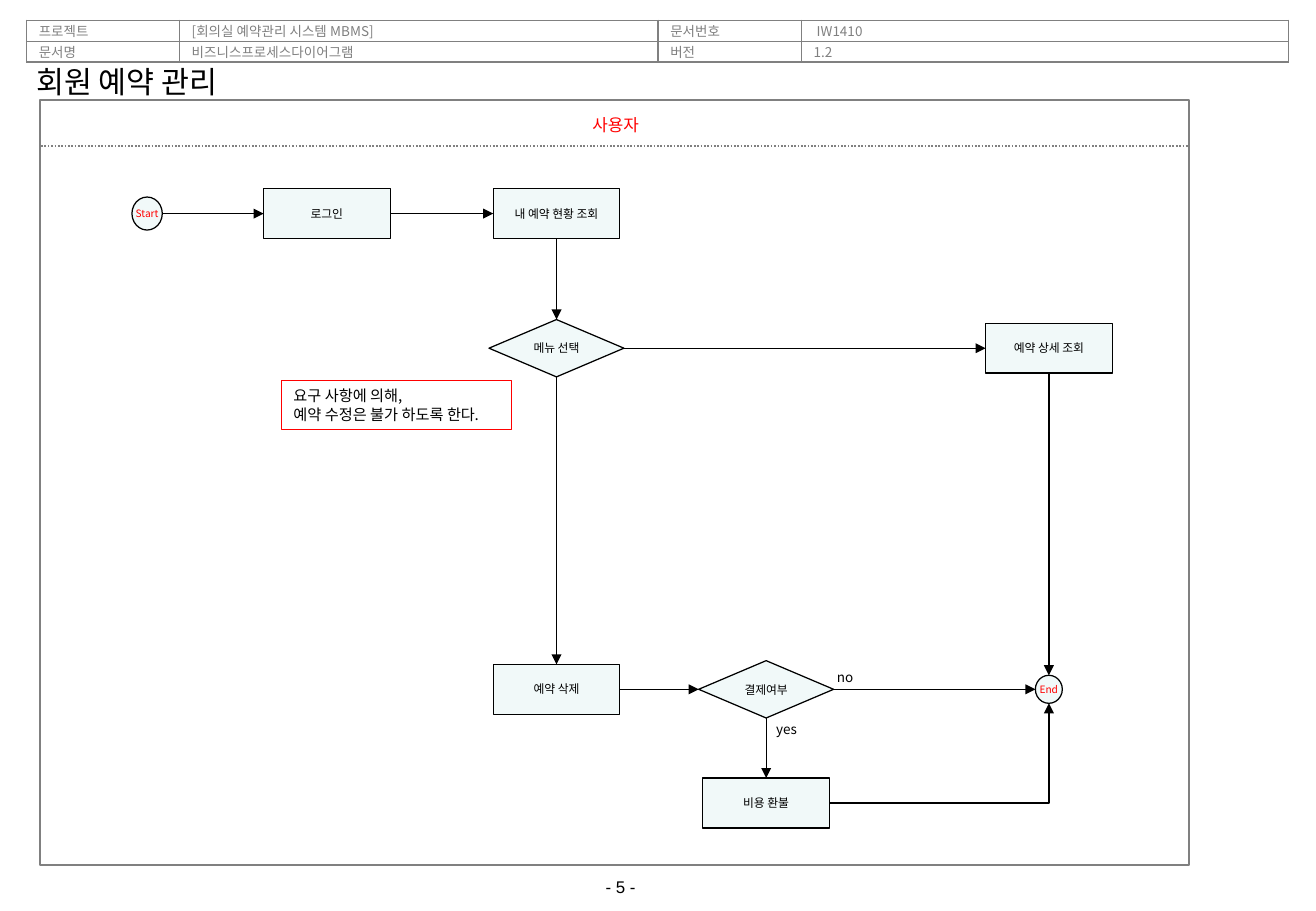
from lxml import etree
from pptx import Presentation
from pptx import util as u
from pptx.dml import color
from pptx.enum import dml, shapes, text
from pptx.oxml import ns

COLORS = {"ink": "000000", "gray": "808080", "red": "FF0000",
          "node": "F1F9F9", "paper": "FFFFFF"}
KOREAN = "Noto Sans CJK KR"
TOP, LEFT, BOTTOM, RIGHT = range(4)


def rgb(name):
    return color.RGBColor.from_string(COLORS[name])


def write(frame, lines, size, ink="ink", font=KOREAN, align="LEFT",
          anchor="TOP", insets=(7.2, 3.6), wrap=True):
    frame.auto_size = text.MSO_AUTO_SIZE.NONE
    frame.word_wrap = wrap
    frame.vertical_anchor = getattr(text.MSO_ANCHOR, anchor)
    frame.margin_left = frame.margin_right = u.Pt(insets[0])
    frame.margin_top = frame.margin_bottom = u.Pt(insets[1])
    for i, line in enumerate(lines):
        paragraph = frame.paragraphs[0] if i == 0 else frame.add_paragraph()
        paragraph.alignment = getattr(text.PP_ALIGN, align)
        style_run(paragraph.add_run(), line, size, ink, font)


def style_run(run, words, size, ink, font=KOREAN):
    run.text = words
    run.font.size = u.Pt(size)
    run.font.name = font
    run.font.color.rgb = rgb(ink)
    properties = run.font._element
    properties.set("kern", "0")
    etree.SubElement(properties, ns.qn("a:ea")).set("typeface", font)


def add_label(slide, box, words, size, **style):
    label = slide.shapes.add_textbox(*map(u.Pt, box))
    write(label.text_frame, [words], size, **style)


def add_outline(slide, preset, box, fill, line, weight=0.75):
    outline = slide.shapes.add_shape(preset, *map(u.Pt, box))
    outline.shadow.inherit = False
    if fill:
        outline.fill.solid()
        outline.fill.fore_color.rgb = rgb(fill)
    else:
        outline.fill.background()
    outline.line.color.rgb = rgb(line)
    outline.line.width = u.Pt(weight)
    return outline


def add_line(slide, kind, ends, ink, weight):
    line = slide.shapes.add_connector(kind, *map(u.Pt, ends))
    line.line.color.rgb = rgb(ink)
    line.line.width = u.Pt(weight)
    etree.SubElement(line._element.spPr, ns.qn("a:effectLst"))
    return line


def add_arrow(slide, source, source_side, target, target_side):
    straight = TOP in (source_side, target_side) or LEFT in (source_side, target_side)
    kind = shapes.MSO_CONNECTOR.STRAIGHT if straight else shapes.MSO_CONNECTOR.ELBOW
    arrow = add_line(slide, kind, (0, 0, 0, 0), "ink", 0.75)
    arrow.begin_connect(source, source_side)
    arrow.end_connect(target, target_side)
    properties = arrow._element.spPr
    if not straight:
        properties.find(ns.qn("a:prstGeom")).set("prst", "bentConnector2")
    # An ellipse has eight connection sites, so its sides are every second one
    for node, side, tag in ((source, source_side, "a:stCxn"), (target, target_side, "a:endCxn")):
        if node.auto_shape_type == shapes.MSO_SHAPE.OVAL:
            next(arrow._element.iter(ns.qn(tag))).set("idx", str(2 * side))
    head = etree.SubElement(properties.find(ns.qn("a:ln")), ns.qn("a:tailEnd"))
    head.set("type", "triangle")


def add_document_header(slide, box):
    rows = [["프로젝트", "[회의실 예약관리 시스템 MBMS]", "문서번호", "IW1410"],
            ["문서명", "비즈니스프로세스다이어그램", "버전", "1.2"]]
    header = slide.shapes.add_table(2, 4, *map(u.Pt, box)).table
    header.first_row = header.horz_banding = False
    for column, width in zip(header.columns, (90.7, 283.7, 85, 288.8)):
        column.width = u.Pt(width)
    for r, row in enumerate(rows):
        header.rows[r].height = u.Pt(box[3] / 2)
        for c, words in enumerate(row):
            cell = header.cell(r, c)
            cell.margin_left = u.Pt(9 if words == "IW1410" else 7.2)
            cell.margin_right = u.Pt(7.2)
            cell.margin_top = cell.margin_bottom = 0
            cell.vertical_anchor = text.MSO_ANCHOR.MIDDLE
            style_run(cell.text_frame.paragraphs[0].add_run(), words, 8, "gray")
            add_borders(cell)
            cell.fill.solid()
            cell.fill.fore_color.rgb = rgb("paper")


def add_borders(cell):
    for side in "LRTB":
        border = etree.SubElement(cell._tc.get_or_add_tcPr(), ns.qn(f"a:ln{side}"))
        border.set("w", str(u.Pt(1)))
        fill = etree.SubElement(border, ns.qn("a:solidFill"))
        etree.SubElement(fill, ns.qn("a:srgbClr")).set("val", COLORS["gray"])


def add_title(slide, box):
    title = slide.shapes.title
    title.left, title.top, title.width, title.height = map(u.Pt, box)
    write(title.text_frame, ["회원 예약 관리"], 18)


def add_user_lane(slide, box):
    left, top, width, _ = box
    add_outline(slide, shapes.MSO_SHAPE.RECTANGLE, box, None, "gray", 1)
    divider_y = top + 27.4
    divider = add_line(slide, shapes.MSO_CONNECTOR.STRAIGHT,
                       (left + 0.6, divider_y, left + width + 0.6, divider_y), "gray", 1)
    divider.line.dash_style = dml.MSO_LINE.ROUND_DOT
    add_label(slide, (left + 265.6, top + 3.8, 151.2, 21.6), "사용자", 10,
              ink="red", align="CENTER", insets=(9.4, 5))


def add_flow(slide, box):
    left, top = box[:2]
    # Column and row centres of the flow grid
    start_x, login_x, status_x, payment_x, end_x = (
        left + x for x in (63.4, 170, 306.1, 430.4, 598))
    login_y, menu_y, payment_y, refund_y = (top + y for y in (67.4, 147.2, 349.4, 416.8))
    styles = {
        "process": (shapes.MSO_SHAPE.FLOWCHART_PROCESS, 75, 29.6, 7, "ink", (7.2, 3.6)),
        "decision": (shapes.MSO_SHAPE.FLOWCHART_DECISION, 80, 34, 7, "ink", (7.2, 3.6)),
        "start": (shapes.MSO_SHAPE.OVAL, 18, 19.6, 6, "red", (5, 2.9)),
        "end": (shapes.MSO_SHAPE.OVAL, 16, 16.6, 6, "red", (5, 2.9)),
    }

    def node(style, x, y, words):
        preset, width, height, size, ink, insets = styles[style]
        shape = add_outline(slide, preset, (x - width / 2, y - height / 2, width, height),
                            "node", "ink")
        write(shape.text_frame, [words], size, ink, align="CENTER",
              anchor="MIDDLE", insets=insets, wrap=False)
        return shape

    # Steps
    start = node("start", start_x, login_y, "Start")
    login = node("process", login_x, login_y, "로그인")
    status = node("process", status_x, login_y, "내 예약 현황 조회")
    menu = node("decision", status_x, menu_y, "메뉴 선택")
    detail = node("process", end_x, menu_y, "예약 상세 조회")
    delete = node("process", status_x, payment_y, "예약 삭제")
    payment = node("decision", payment_x, payment_y, "결제여부")
    refund = node("process", payment_x, refund_y, "비용 환불")
    end = node("end", end_x, payment_y, "End")

    # Arrows
    for link in ((start, RIGHT, login, LEFT), (login, RIGHT, status, LEFT),
                 (status, BOTTOM, menu, TOP), (menu, RIGHT, detail, LEFT),
                 (menu, BOTTOM, delete, TOP), (detail, BOTTOM, end, TOP),
                 (delete, RIGHT, payment, LEFT), (payment, RIGHT, end, LEFT),
                 (payment, BOTTOM, refund, TOP), (refund, RIGHT, end, BOTTOM)):
        add_arrow(slide, *link)

    # Branch labels
    add_label(slide, (payment_x + 34.8, payment_y - 15.8, 24.5, 16.6), "no", 8, wrap=False)
    add_label(slide, (payment_x - 1.2, payment_y + 15, 26.6, 16.6), "yes", 8, wrap=False)

    # Requirement note
    note = add_outline(slide, shapes.MSO_SHAPE.RECTANGLE,
                       (left + 143.1, top + 166.4, 136.3, 29.1), "paper", "red")
    write(note.text_frame, ["요구 사항에 의해,", "예약 수정은 불가 하도록 한다."], 9)


def main():
    deck = Presentation()
    deck.slide_width, deck.slide_height = u.Pt(780.13), u.Pt(540)
    slide = deck.slides.add_slide(deck.slide_layouts[5])
    lane = (23.8, 59.2, 681.1, 453.7)
    add_document_header(slide, (15.8, 12.1, 748.2, 24.8))
    add_title(slide, (14.2, 34, 204.5, 28.8))
    add_user_lane(slide, lane)
    add_flow(slide, lane)
    add_label(slide, (352, 516.4, 72, 19.4), "- 5 -", 10, font="Arial", wrap=False)
    deck.save("out.pptx")


if __name__ == "__main__":
    main()
